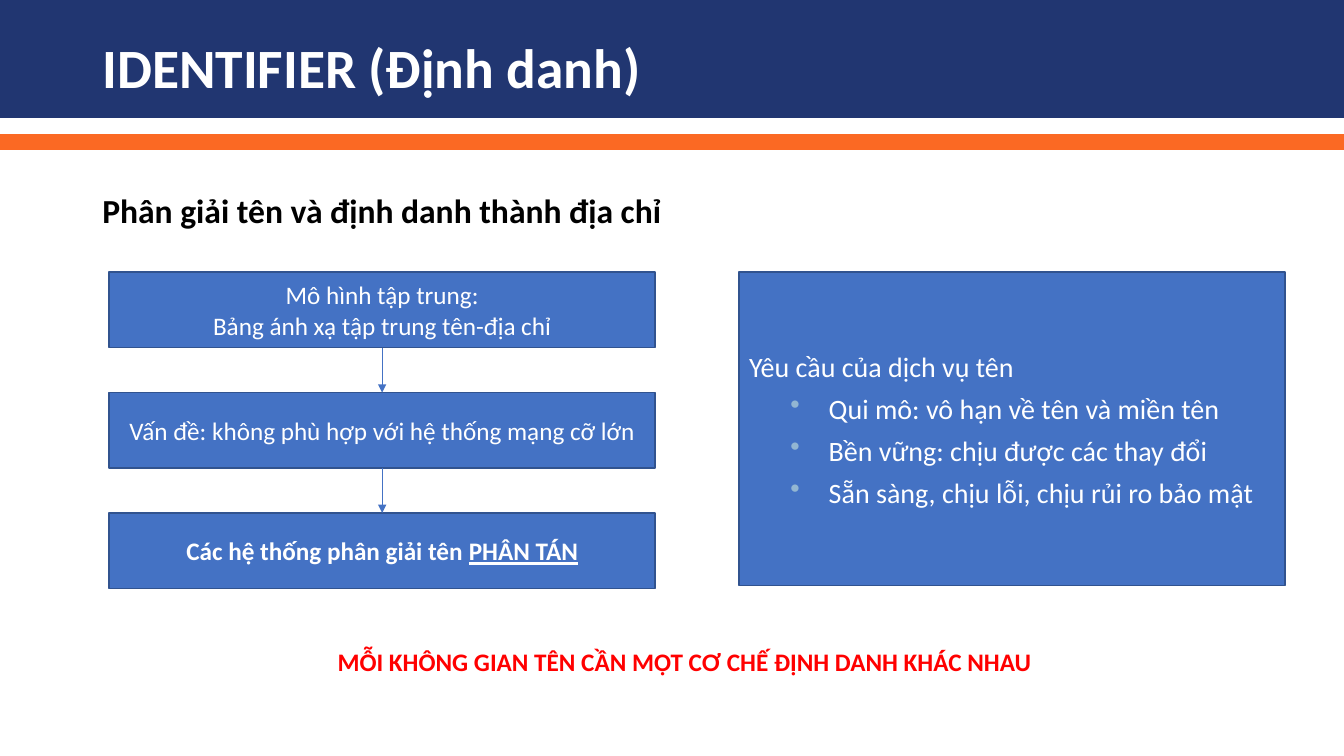
import pptx
import pptx.util
import pptx.dml.color
import pptx.enum.shapes
import pptx.enum.text
import pptx.oxml
import pptx.oxml.ns

RGBColor = pptx.dml.color.RGBColor
NAVY = RGBColor(0x21, 0x36, 0x71)
ORANGE = RGBColor(0xFB, 0x69, 0x23)
BLUE = RGBColor(0x44, 0x72, 0xC4)
BLUE_EDGE = RGBColor(0x31, 0x53, 0x8F)
PALE_BLUE = RGBColor(0x93, 0xB6, 0xD2)
WHITE = RGBColor(0xFF, 0xFF, 0xFF)
BLACK = RGBColor(0, 0, 0)
RED = RGBColor(0xFF, 0, 0)

ALIGN = pptx.enum.text.PP_ALIGN
ANCHOR = pptx.enum.text.MSO_ANCHOR

# Grid of 160 columns by 90 rows, twelve cells to the inch
COLUMNS, ROWS = 160, 90
CELL = pptx.util.Inches(1) / 12

# Flow of steps on the left
STEP_LEFT, STEP_TOP = 13, 32.4
STEP_WIDTH, STEP_HEIGHT = 65, 9
STEP_PITCH = 14.34


def cells(*counts):
    return [round(count * CELL) for count in counts]


def set_all(target, values):
    for name, value in values.items():
        setattr(target, name, value)


def place(shape, left, top, width, height):
    sides = ("left", "top", "width", "height")
    set_all(shape, dict(zip(sides, cells(left, top, width, height))))


def add_xml(parent, tag, content=""):
    namespace = pptx.oxml.ns.nsdecls("a")
    parent.append(pptx.oxml.parse_xml(f"<a:{tag} {namespace}{content}/>"))


def add_bullet(para):
    """Hang the paragraph behind a coloured dot."""
    properties = para._p.get_or_add_pPr()
    set_all(para, {"level": 1, "space_before": pptx.util.Pt(6)})
    properties.set("marL", str(pptx.util.Inches(0.79)))
    properties.set("indent", str(pptx.util.Inches(-0.38)))
    namespace = pptx.oxml.ns.nsdecls("a")
    properties.append(pptx.oxml.parse_xml(
        f'<a:buClr {namespace}><a:srgbClr val="{PALE_BLUE}"/></a:buClr>'))
    add_xml(properties, "buChar", ' char="•"')


def write(shape, paragraphs, size, color, bold=False, align=ALIGN.LEFT,
          anchor=ANCHOR.TOP, bullets_from=None):
    """Fill a shape with paragraphs, each a list of (text, underline) spans."""
    frame = shape.text_frame
    set_all(frame, {"word_wrap": True, "vertical_anchor": anchor,
                    "auto_size": pptx.enum.text.MSO_AUTO_SIZE.NONE})
    for index, spans in enumerate(paragraphs):
        para = frame.add_paragraph() if index else frame.paragraphs[0]
        para.alignment = align
        if bullets_from is not None and index >= bullets_from:
            add_bullet(para)
        for text, underline in spans:
            span = para.add_run()
            span.text = text
            set_all(span.font, {"name": "Calibri", "size": pptx.util.Pt(size),
                                "bold": bold, "underline": underline})
            span.font.color.rgb = color


def plain(*lines):
    return [[(line, None)] for line in lines]


def add_box(page, area, fill, edge):
    box = page.shapes.add_shape(pptx.enum.shapes.MSO_SHAPE.RECTANGLE, *cells(*area))
    box.shadow.inherit = False
    box.fill.solid()
    box.fill.fore_color.rgb = fill
    box.line.color.rgb = edge
    box.line.width = pptx.util.Pt(1)
    return box


def add_label(page, area, text, size, color):
    label = page.shapes.add_textbox(*cells(*area))
    write(label, plain(text), size, color, bold=True)


def add_arrow(page, column, start, end):
    arrow = page.shapes.add_connector(
        pptx.enum.shapes.MSO_CONNECTOR.STRAIGHT, *cells(column, start, column, end))
    arrow.line.color.rgb = BLUE
    arrow.line.width = pptx.util.Pt(0.75)
    add_xml(arrow.line._get_or_add_ln(), "tailEnd", ' type="triangle"')
    add_xml(arrow._element.spPr, "effectLst")


def add_header(page):
    title = page.shapes.title
    band = add_box(page, (0, 0, COLUMNS, 14), NAVY, NAVY)
    title._element.addprevious(band._element)
    place(title, 11, 4.8, 138, 7.2)
    write(title, plain("IDENTIFIER (Định danh)"), 39.6, WHITE, bold=True,
          anchor=ANCHOR.MIDDLE)
    title.text_frame.paragraphs[0].line_spacing = 0.9
    add_box(page, (0, 16, COLUMNS, 1.8), ORANGE, ORANGE)


def add_steps(page, steps):
    for index, (paragraphs, bold) in enumerate(steps):
        top = STEP_TOP + index * STEP_PITCH
        box = add_box(page, (STEP_LEFT, top, STEP_WIDTH, STEP_HEIGHT), BLUE, BLUE_EDGE)
        write(box, paragraphs, 18, WHITE, bold, ALIGN.CENTER, ANCHOR.MIDDLE)
        if index:
            add_arrow(page, STEP_LEFT + STEP_WIDTH / 2,
                      top - STEP_PITCH + STEP_HEIGHT, top)


def main():
    deck = pptx.Presentation()
    deck.slide_width, deck.slide_height = cells(COLUMNS, ROWS)
    page = deck.slides.add_slide(deck.slide_layouts.get_by_name("Title Only"))

    # Title and subtitle
    add_header(page)
    add_label(page, (11, 22, 138, 10.3),
              "Phân giải tên và định danh thành địa chỉ", 24, BLACK)

    # From the central model to distributed systems
    add_steps(page, [
        (plain("Mô hình tập trung:", "Bảng ánh xạ tập trung tên-địa chỉ"), False),
        (plain("Vấn đề: không phù hợp với hệ thống mạng cỡ lớn"), False),
        ([[("Các hệ thống phân giải tên ", None), ("PHÂN TÁN", True)]], True),
    ])

    # Requirements of the name service
    needs = add_box(page, (88, STEP_TOP, STEP_WIDTH, 37.3), BLUE, BLUE_EDGE)
    write(needs, plain("Yêu cầu của dịch vụ tên",
                       "Qui mô: vô hạn về tên và miền tên",
                       "Bền vững: chịu được các thay đổi",
                       "Sẵn sàng, chịu lỗi, chịu rủi ro bảo mật"),
          20, WHITE, anchor=ANCHOR.MIDDLE, bullets_from=1)

    # Conclusion
    add_label(page, (39, 76.3, 86, 4.8),
              "MỖI KHÔNG GIAN TÊN CẦN MỘT CƠ CHẾ ĐỊNH DANH KHÁC NHAU", 18, RED)

    deck.save("out.pptx")


if __name__ == "__main__":
    main()
